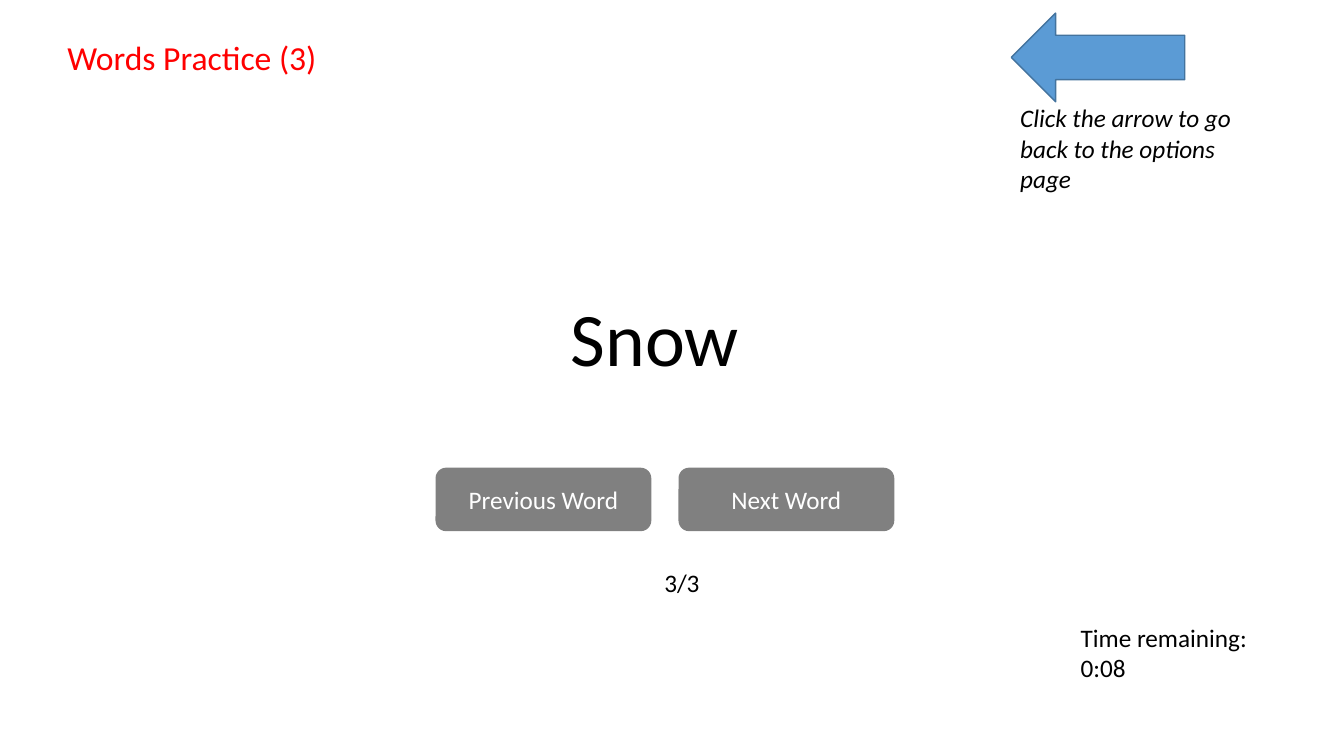
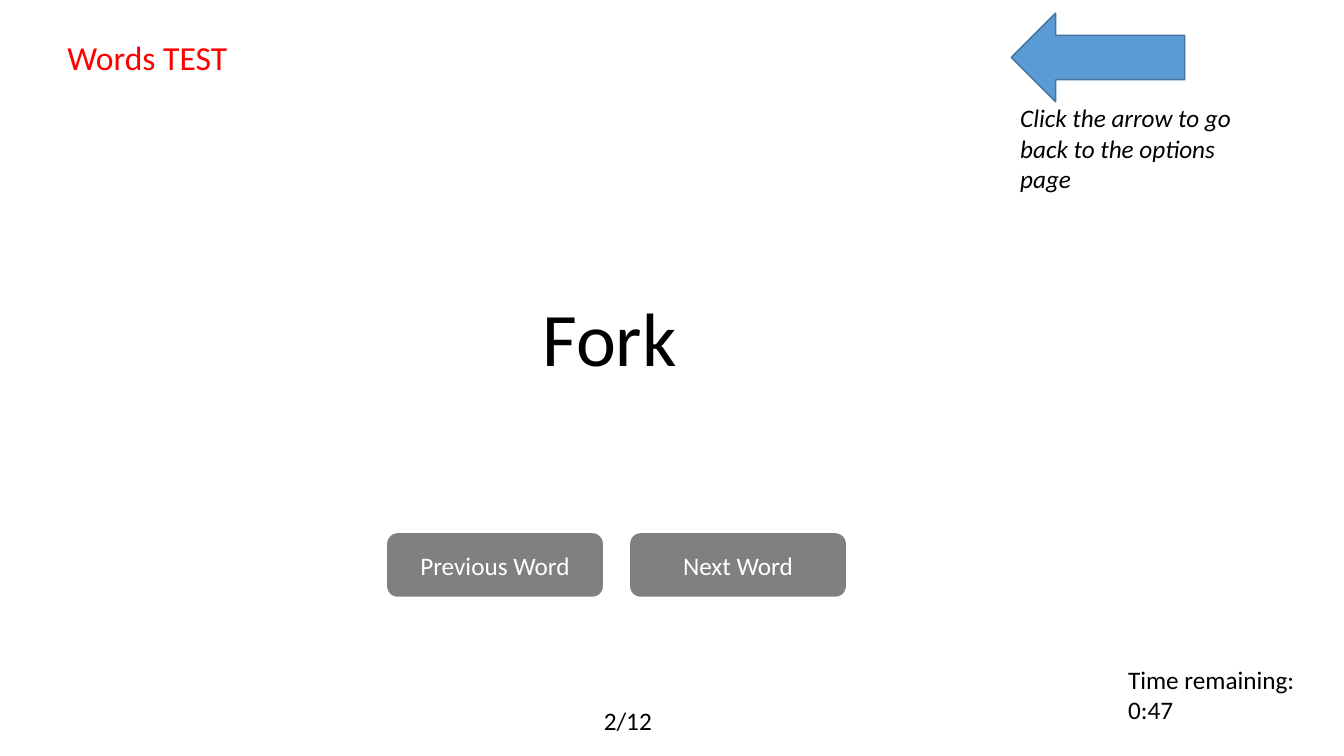
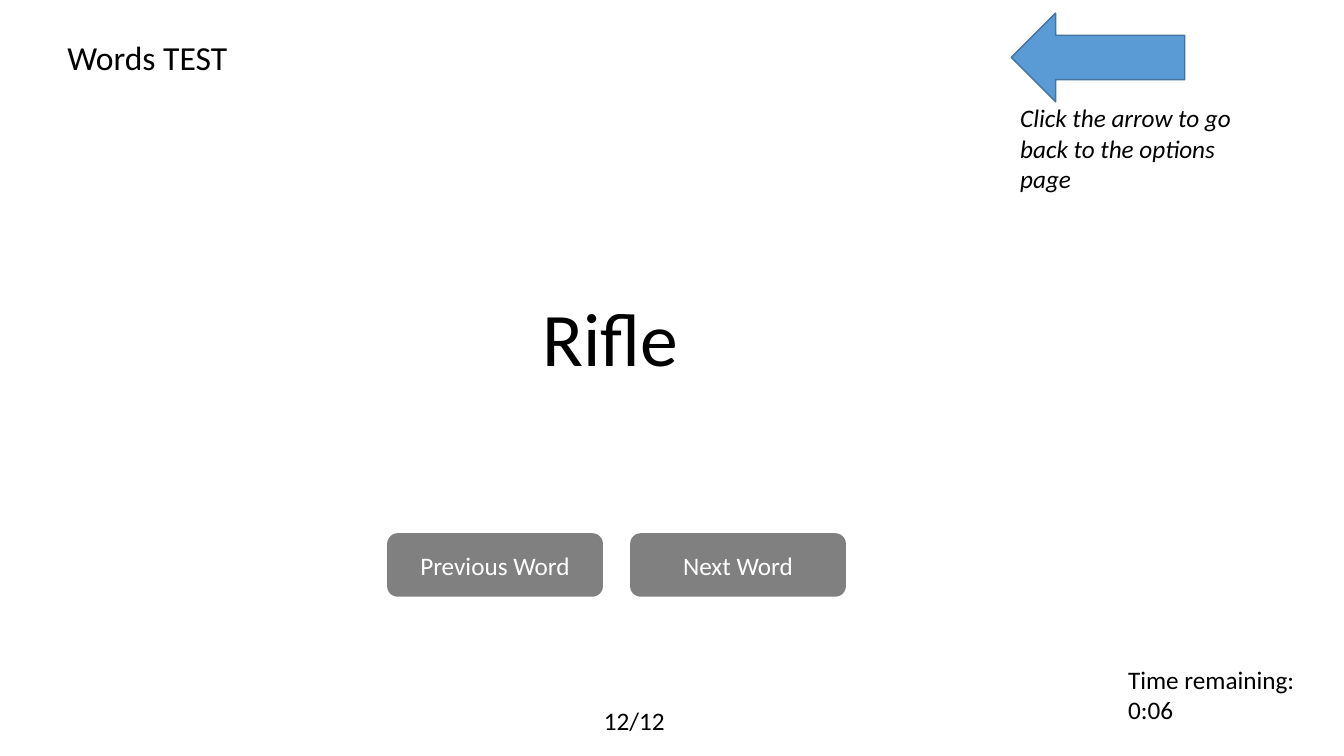
from pptx import Presentation
from pptx.dml.color import RGBColor
from pptx.enum import shapes, text
from pptx.util import Emu, Pt

PX = 9144  # EMU per px, 100 px to the inch
FONT = "Calibri"
COLORS = {
    "ink": "000000",
    "alert": "FF0000",
    "white": "FFFFFF",
    "button": "808080",
    "arrow": "5B9BD5",
    "arrow_edge": "43739E",
}
BUTTON_W, BUTTON_H, BUTTON_STEP = 214, 63, 241


def color(name):
    return RGBColor.from_string(COLORS[name])


class Deck:
    """Holds the shared style and the slide being built."""

    def __init__(self, width, height):
        self.prs = Presentation()
        self.prs.slide_width = Emu(width * PX)
        self.prs.slide_height = Emu(height * PX)
        self.slide = None

    def new_slide(self):
        self.slide = self.prs.slides.add_slide(self.prs.slide_layouts[6])

    def fill_text(self, frame, lines, size=18, ink="ink", align="LEFT", italic=None):
        frame.word_wrap = True
        style = {"name": FONT, "size": Pt(size), "italic": italic}
        for i, line in enumerate(lines):
            paragraph = frame.paragraphs[0] if i == 0 else frame.add_paragraph()
            paragraph.alignment = text.PP_ALIGN[align]
            run = paragraph.add_run()
            run.text = line
            for key, value in style.items():
                setattr(run.font, key, value)
            run.font.color.rgb = color(ink)

    def label(self, box, *lines, **style):
        frame = self.slide.shapes.add_textbox(*(Emu(v * PX) for v in box)).text_frame
        self.fill_text(frame, lines, **style)
        frame.auto_size = text.MSO_AUTO_SIZE.SHAPE_TO_FIT_TEXT

    def shape(self, kind, box, fill, edge=None):
        shape = self.slide.shapes.add_shape(kind, *(Emu(v * PX) for v in box))
        shape.shadow.inherit = False
        shape.fill.solid()
        shape.fill.fore_color.rgb = color(fill)
        if edge:
            shape.line.color.rgb = color(edge)
            shape.line.width = Pt(1)
        else:
            shape.line.fill.background()
        return shape

    def button(self, left, top, caption):
        button = self.shape(shapes.MSO_SHAPE.ROUNDED_RECTANGLE,
                            (left, top, BUTTON_W, BUTTON_H), "button")
        self.fill_text(button.text_frame, [caption], ink="white", align="CENTER")
        button.text_frame.vertical_anchor = text.MSO_ANCHOR.MIDDLE

    def word_slide(self, layout, title, title_ink, word, count, count_w, time):
        self.new_slide()
        # Title and practised word
        self.label((57, 32, 310, 50), title, size=24, ink=title_ink)
        self.label((layout["word_left"], 284, 311, 101), word,
                   size=54, align=layout["word_align"])
        # Way back to the options
        self.shape(shapes.MSO_SHAPE.LEFT_ARROW, (1003, 13, 172, 88),
                   "arrow", "arrow_edge")
        self.label((1002, 97, 233, 101),
                   "Click the arrow to go back to the options page", italic=True)
        # Word navigation
        left, top = layout["buttons"]
        for i, caption in enumerate(("Previous Word", "Next Word")):
            self.button(left + i * BUTTON_STEP, top, caption)
        # Counter and timer
        self.label((*layout["counter"], count_w, 40), count)
        self.label((*layout["timer"], 224, 71), "Time remaining:", time)


PRACTICE = {"word_left": 494, "word_align": "CENTER", "buttons": (432, 464),
            "counter": (649, 558), "timer": (1062, 612)}
TEST = {"word_left": 528, "word_align": "LEFT", "buttons": (384, 529),
        "counter": (589, 695), "timer": (1109, 654)}


def main():
    deck = Deck(1333, 750)
    deck.word_slide(PRACTICE, "Words Practice (3)", "alert", "Snow", "3/3", 104, "0:08")
    deck.word_slide(TEST, "Words TEST", "alert", "Fork", "2/12", 73, "0:47")
    deck.word_slide(TEST, "Words TEST", "ink", "Rifle", "12/12", 87, "0:06")
    deck.prs.save("out.pptx")


if __name__ == "__main__":
    main()
